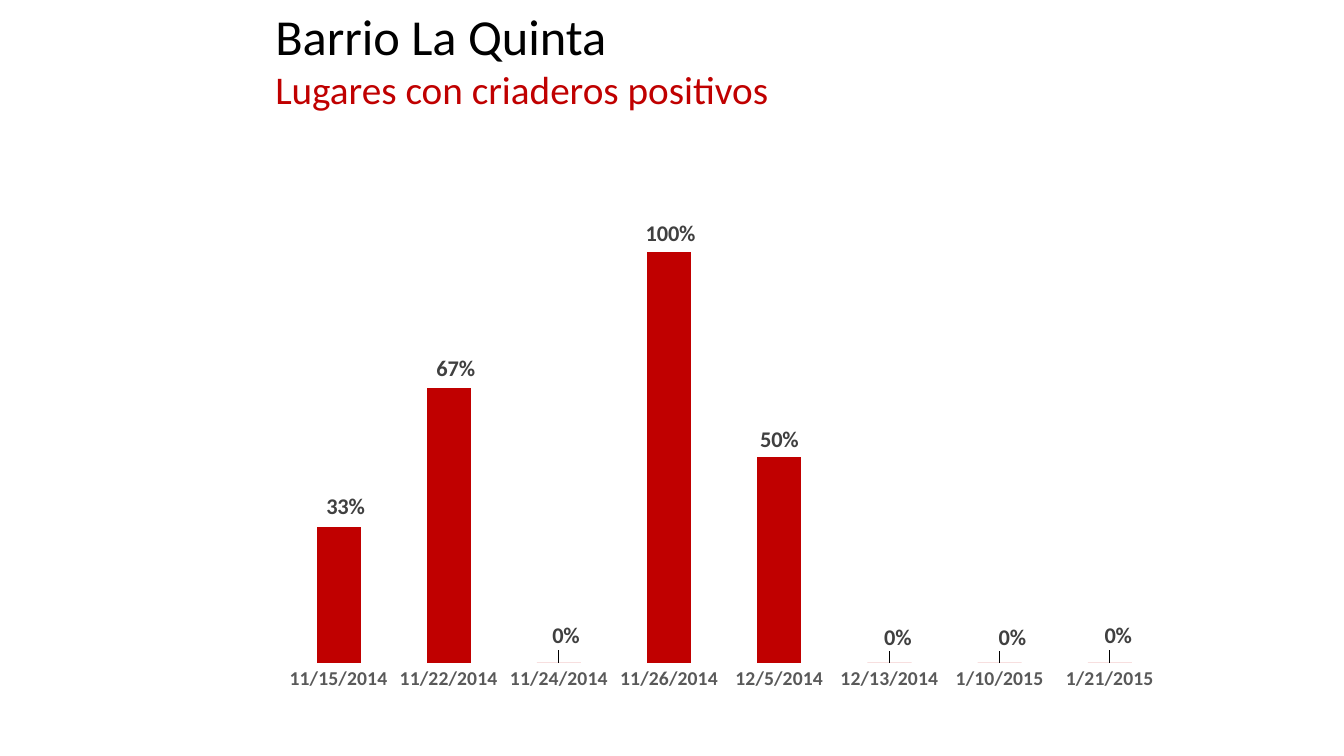
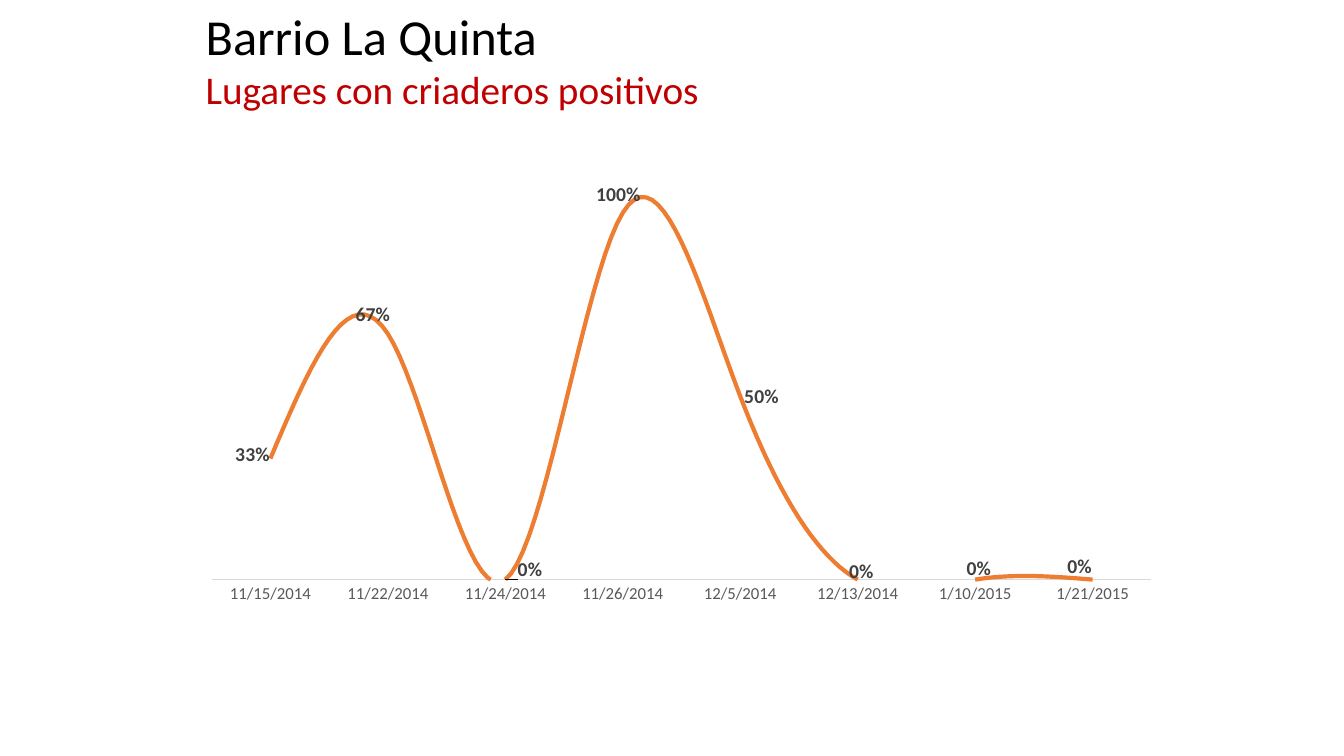
from lxml import etree
from pptx import Presentation
from pptx.chart.data import CategoryChartData
from pptx.dml.color import RGBColor
from pptx.enum import chart as ch, text as tx
from pptx.oxml.ns import qn
from pptx.util import Pt

# Content
COLORS = {"black": "000000", "red": "C00000", "orange": "ED7D31", "white": "FFFFFF",
          "label": "404040", "axis": "595959", "rule": "D9D9D9"}
FONT = "Calibri"
TITLE = [("Barrio La Quinta", 36, "black"),
         ("Lugares con criaderos positivos", 28, "red")]
DATES = ["11/15/2014", "11/22/2014", "11/24/2014", "11/26/2014",
         "12/5/2014", "12/13/2014", "1/10/2015", "1/21/2015"]
POSITIVE = [0.33, 0.67, 0, 1, 0.5, 0, 0, 0]

# Boxes are left, top, width, height in points; plot is in fractions of the chart;
# shifts move each label from its standard place, in points
SLIDES = [
    {"title_box": (189.4, 0, 477.4, 85), "title_fill": "white",
     "chart_box": (189.4, 113.8, 655.9, 386.6), "kind": ch.XL_CHART_TYPE.COLUMN_CLUSTERED,
     "plot": (0.02, 0.02, 0.96, 0.91), "color": "red", "axis_line": None,
     "axis_font": {"size": Pt(14), "bold": True}, "label_size": 16,
     "label_place": ch.XL_LABEL_POSITION.OUTSIDE_END,
     "shifts": [(5, -2), (5, -1), (5, -6), (1, 0), (0, 0), (6, -5), (9, -5), (6, -6)]},
    {"title_box": (139.7, 0, 612.7, 128.2), "title_fill": None,
     "chart_box": (137.5, 87.8, 685.4, 393.1), "kind": ch.XL_CHART_TYPE.LINE,
     "plot": (0.02, 0.03, 0.98, 0.8), "color": "orange", "axis_line": "rule",
     "axis_font": {"size": Pt(12), "bold": False}, "label_size": 14,
     "label_place": ch.XL_LABEL_POSITION.RIGHT,
     "shifts": [(-28, -3), (-26, -14), (6, -7), (-22, -13), (0, 0),
                (-9, -6), (-9, -8), (-21, -9)]},
]


def rgb(name):
    return RGBColor.from_string(COLORS[name])


def set_all(target, **values):
    for name, value in values.items():
        setattr(target, name, value)


def style_font(font, color, **values):
    set_all(font, name=FONT, **values)
    font.color.rgb = rgb(color)


def manual_layout(**values):
    """Return a chart layout element holding the given settings."""
    layout = etree.Element(qn("c:layout"))
    manual = etree.SubElement(layout, qn("c:manualLayout"))
    for name, value in values.items():
        etree.SubElement(manual, qn("c:" + name)).set("val", str(value))
    return layout


def add_title(slide, page):
    title = slide.shapes.title
    set_all(title, **dict(zip(("left", "top", "width", "height"), map(Pt, page["title_box"]))))
    if page["title_fill"]:
        title.fill.solid()
        title.fill.fore_color.rgb = rgb(page["title_fill"])
    frame = title.text_frame
    set_all(frame, word_wrap=True, auto_size=tx.MSO_AUTO_SIZE.NONE,
            vertical_anchor=tx.MSO_ANCHOR.TOP)
    frame.text = "\n".join(line for line, _, _ in TITLE)
    for paragraph, (_, size, color) in zip(frame.paragraphs, TITLE):
        set_all(paragraph, alignment=tx.PP_ALIGN.LEFT, space_before=Pt(0))
        style_font(paragraph.runs[0].font, color, size=Pt(size))


def style_axes(chart, page):
    dates, share = chart.category_axis, chart.value_axis
    set_all(share, visible=False, has_major_gridlines=False,
            minimum_scale=0, maximum_scale=1.2)
    share.tick_labels.number_format = "0%"
    set_all(dates, major_tick_mark=ch.XL_TICK_MARK.NONE, has_major_gridlines=False)
    style_font(dates.tick_labels.font, "axis", **page["axis_font"])
    line = dates.format.line
    if page["axis_line"]:
        line.color.rgb = rgb(page["axis_line"])
        line.width = Pt(1)
    else:
        line.fill.background()


def style_series(plot, page):
    plot.vary_by_categories = False
    positive = plot.series[0]
    if page["kind"] == ch.XL_CHART_TYPE.LINE:
        positive.smooth = True
        positive.marker.style = ch.XL_MARKER_STYLE.NONE
        positive.format.line.color.rgb = rgb(page["color"])
        positive.format.line.width = Pt(3)
    else:
        plot.gap_width = 150
        positive.format.fill.solid()
        positive.format.fill.fore_color.rgb = rgb(page["color"])
    return positive


def add_labels(chart, positive, page):
    font = {"size": Pt(page["label_size"]), "bold": True}
    labels = positive.data_labels
    set_all(labels, show_value=True, number_format="0%", number_format_is_linked=False,
            position=page["label_place"])
    style_font(labels.font, "label", **font)
    for i in range(len(DATES)):
        label = positive.points[i].data_label
        style_font(label.font, "label", **font)
        label.position = page["label_place"]
    _, _, width, height = page["chart_box"]
    for element, (dx, dy) in zip(chart.element.iter(qn("c:dLbl")), page["shifts"]):
        element.insert(1, manual_layout(x=round(dx / width, 4), y=round(dy / height, 4)))


def add_share_chart(slide, page):
    data = CategoryChartData(number_format="0%")
    data.categories = DATES
    data.add_series("Series 1", POSITIVE)
    chart = slide.shapes.add_chart(page["kind"], *map(Pt, page["chart_box"]), data).chart
    set_all(chart, has_legend=False, has_title=False)
    style_font(chart.font, "black", size=Pt(10))
    style_axes(chart, page)
    add_labels(chart, style_series(chart.plots[0], page), page)

    # Fixed plot area
    area = next(chart.element.iter(qn("c:plotArea")))
    for old in area.findall(qn("c:layout")):
        area.remove(old)
    x, y, w, h = page["plot"]
    area.insert(0, manual_layout(layoutTarget="inner", xMode="edge", yMode="edge",
                                 x=x, y=y, w=w, h=h))


def main():
    deck = Presentation()
    set_all(deck, slide_width=Pt(960), slide_height=Pt(540))
    for page in SLIDES:
        slide = deck.slides.add_slide(deck.slide_layouts[5])
        add_title(slide, page)
        add_share_chart(slide, page)
    deck.save("out.pptx")


if __name__ == "__main__":
    main()
